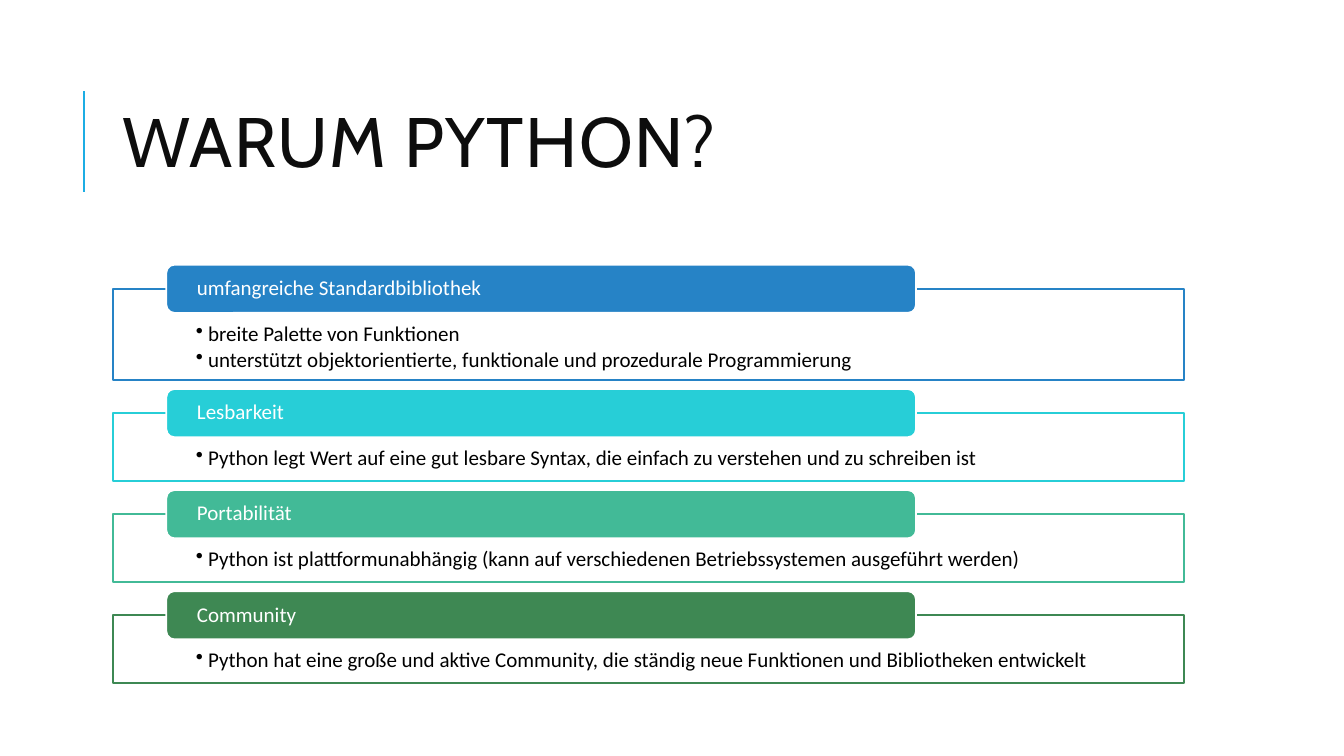
"""Build the slide on why to use Python, as a list of titled boxes."""
import pptx
import pptx.util
import pptx.dml.color
import pptx.enum.shapes
import pptx.enum.text
import pptx.oxml
import pptx.oxml.ns

Pt = pptx.util.Pt
SHAPE = pptx.enum.shapes.MSO_SHAPE
ALIGN = pptx.enum.text.PP_ALIGN
ANCHOR = pptx.enum.text.MSO_ANCHOR

TITLE = "WARUM PYTHON?"
ITEMS = [
    ("umfangreiche Standardbibliothek", "blue", [
        "breite Palette von Funktionen",
        "unterstützt objektorientierte, funktionale und prozedurale Programmierung"]),
    ("Lesbarkeit", "cyan", [
        "Python legt Wert auf eine gut lesbare Syntax, die einfach zu verstehen und zu schreiben ist"]),
    ("Portabilität", "teal", [
        "Python ist plattformunabhängig (kann auf verschiedenen Betriebssystemen ausgeführt werden)"]),
    ("Community", "green", [
        "Python hat eine große und aktive Community, die ständig neue Funktionen und Bibliotheken entwickelt"]),
]
COLORS = {"blue": "2683C6", "cyan": "27CED7", "teal": "42BA97", "green": "3E8853",
          "white": "FFFFFF", "black": "000000", "ink": "0D0D0D", "rule": "1CADE4"}
LEFT, WIDTH, TOP, GAP = 80.6, 765.4, 206.3, 23.8
BASE, STEP = 48.4, 16.6
TAB = {"left": 118.8, "width": 535.5, "height": 34.4, "rise": 17.2}

HEAD = {"vertical_anchor": ANCHOR.MIDDLE, "margin_left": Pt(20.2), "margin_right": Pt(20.2),
        "margin_top": 0, "margin_bottom": 0, "word_wrap": True}
BODY = {"vertical_anchor": ANCHOR.TOP, "margin_left": Pt(59.4), "margin_right": Pt(59.4),
        "margin_top": Pt(24.5), "margin_bottom": Pt(8.6), "word_wrap": True}
HEADING = {"alignment": ALIGN.LEFT, "line_spacing": 0.9, "space_after": Pt(5.25)}
BULLET = {"alignment": ALIGN.LEFT, "line_spacing": 0.9, "space_after": Pt(2.25), "level": 1}


def rgb(name):
    """Return the named colour."""
    return pptx.dml.color.RGBColor.from_string(COLORS[name])


def apply(thing, values):
    """Set each attribute from a dict."""
    for key, value in values.items():
        setattr(thing, key, value)


def add_node(parent, tag, **values):
    """Append a drawing element with attributes."""
    node = pptx.oxml.parse_xml(f"<a:{tag} {pptx.oxml.ns.nsdecls('a')}/>")
    for key, value in values.items():
        node.set(key, value)
    parent.append(node)


def add_box(slide, kind, place, fill, line):
    """Add a flat shape with a fill and an outline."""
    box = slide.shapes.add_shape(kind, *map(Pt, place))
    box.shadow.inherit = False
    box.fill.solid()
    box.fill.fore_color.rgb = rgb(fill)
    box.line.color.rgb = rgb(line)
    box.line.width = Pt(1.25)
    return box


def write(par, text, look, color, size=15, font="Calibri"):
    """Fill a paragraph with one formatted run."""
    apply(par, look)
    run = par.add_run()
    run.text = text
    apply(run.font, {"size": Pt(size), "name": font})
    run.font.color.rgb = rgb(color)
    return run


def add_title(slide):
    """Set the title and the rule beside it."""
    title = slide.shapes.title
    apply(title, {"left": Pt(LEFT), "top": Pt(46.1), "width": Pt(WIDTH), "height": Pt(118.1)})
    frame = title.text_frame
    apply(frame, {"vertical_anchor": ANCHOR.MIDDLE, "word_wrap": True,
                  "auto_size": pptx.enum.text.MSO_AUTO_SIZE.NONE})
    look = {"alignment": ALIGN.LEFT, "line_spacing": 0.8}
    run = write(frame.paragraphs[0], TITLE, look, "ink", 50, "Cabin")
    run._r.get_or_add_rPr().set("spc", "100")
    rule = slide.shapes.add_connector(
        pptx.enum.shapes.MSO_CONNECTOR.STRAIGHT, Pt(60), Pt(136.8), Pt(60), Pt(64.8))
    rule.line.color.rgb = rgb("rule")
    rule.line.width = Pt(1.5)
    add_node(rule._element.spPr, "effectLst")


def add_item(slide, top, height, head, color, points):
    """Add a box of bullets with its heading tab."""
    box = add_box(slide, SHAPE.RECTANGLE, (LEFT, top, WIDTH, height), "white", color)
    fill = box._element.spPr.find(pptx.oxml.ns.qn("a:solidFill"))
    add_node(fill[0], "alpha", val="90000")
    frame = box.text_frame
    apply(frame, BODY)
    for i, point in enumerate(points):
        par = frame.add_paragraph() if i else frame.paragraphs[0]
        write(par, point, BULLET, "black")
        props = par._p.get_or_add_pPr()
        props.set("marL", str(Pt(8.64)))
        props.set("indent", str(-Pt(8.64)))
        add_node(props, "buChar", char="•")
    place = (TAB["left"], top - TAB["rise"], TAB["width"], TAB["height"])
    tab = add_box(slide, SHAPE.ROUNDED_RECTANGLE, place, color, "white")
    apply(tab.text_frame, HEAD)
    write(tab.text_frame.paragraphs[0], head, HEADING, "white")


def main():
    """Lay out the slide and save it."""
    deck = pptx.Presentation()
    apply(deck, {"slide_width": Pt(960), "slide_height": Pt(540)})
    slide = deck.slides.add_slide(deck.slide_layouts[5])
    add_title(slide)
    top = TOP
    for head, color, points in ITEMS:
        height = BASE + STEP * (len(points) - 1)
        add_item(slide, top, height, head, color, points)
        top += height + GAP
    deck.save("out.pptx")


if __name__ == "__main__":
    main()
